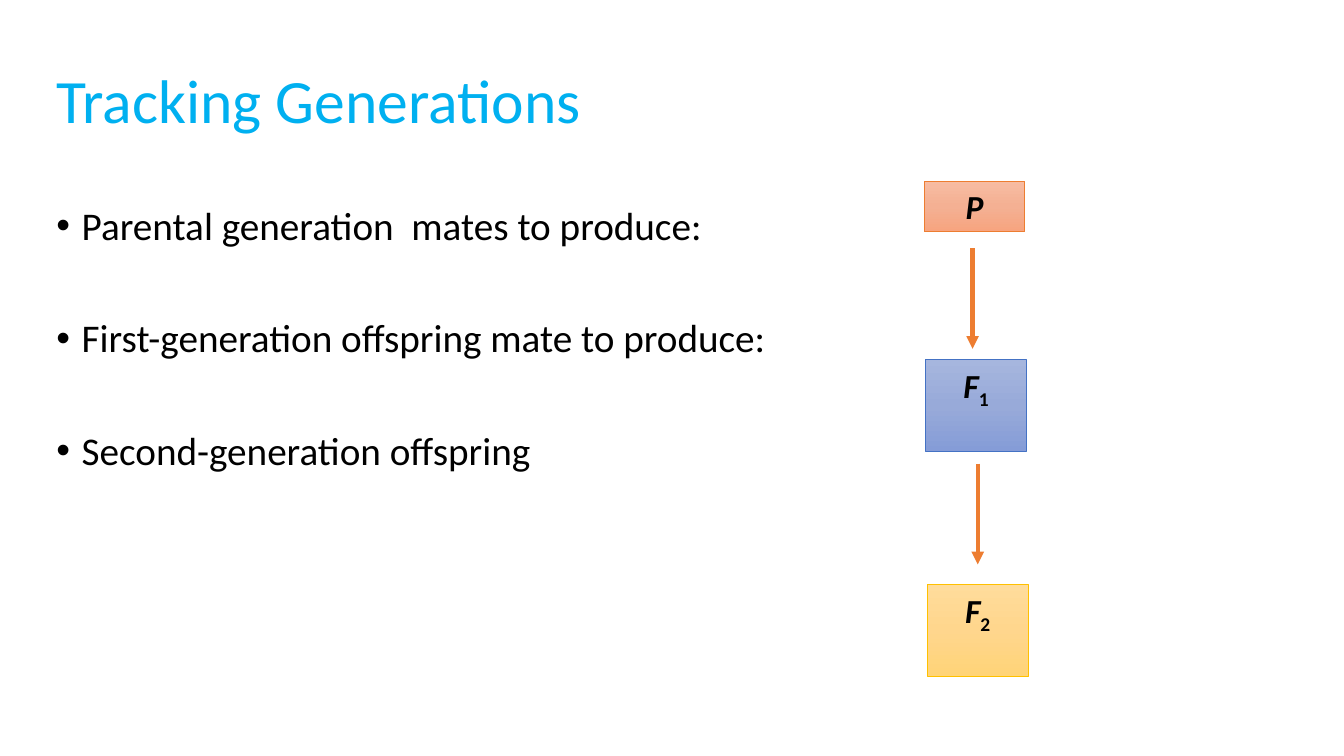
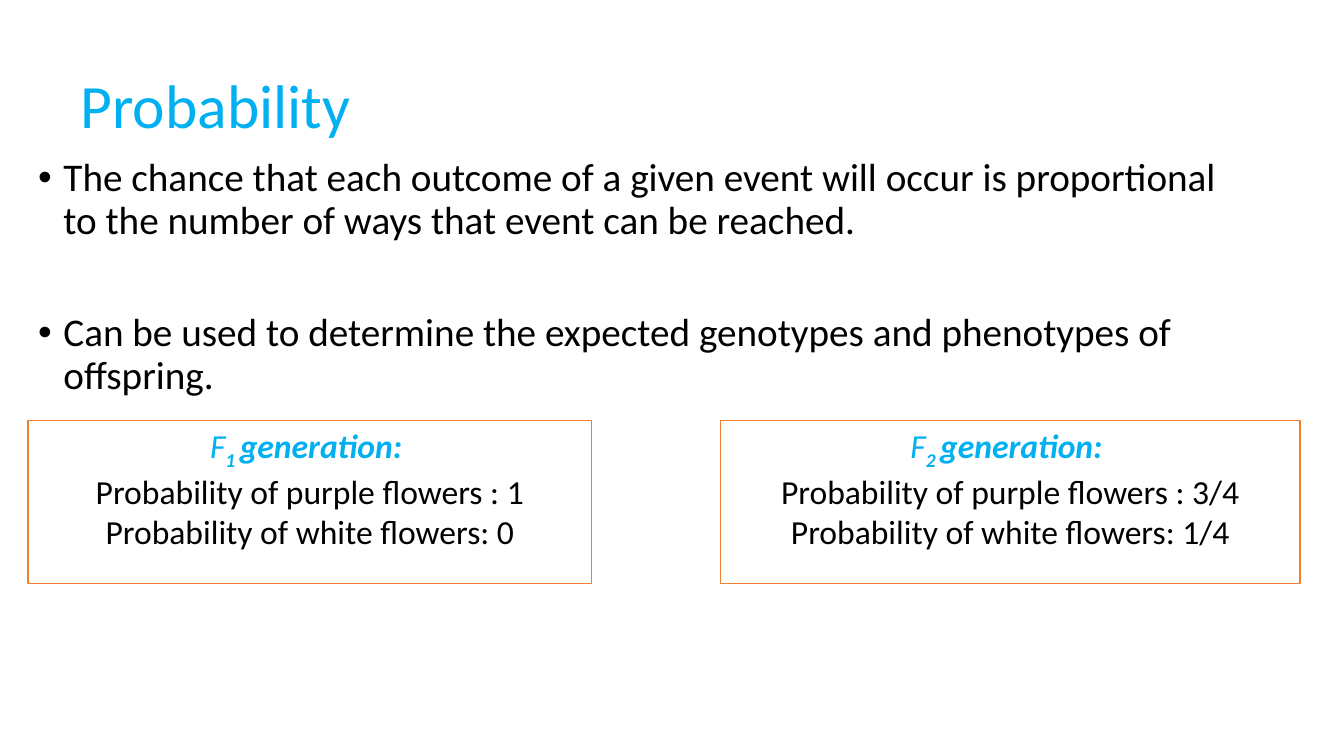
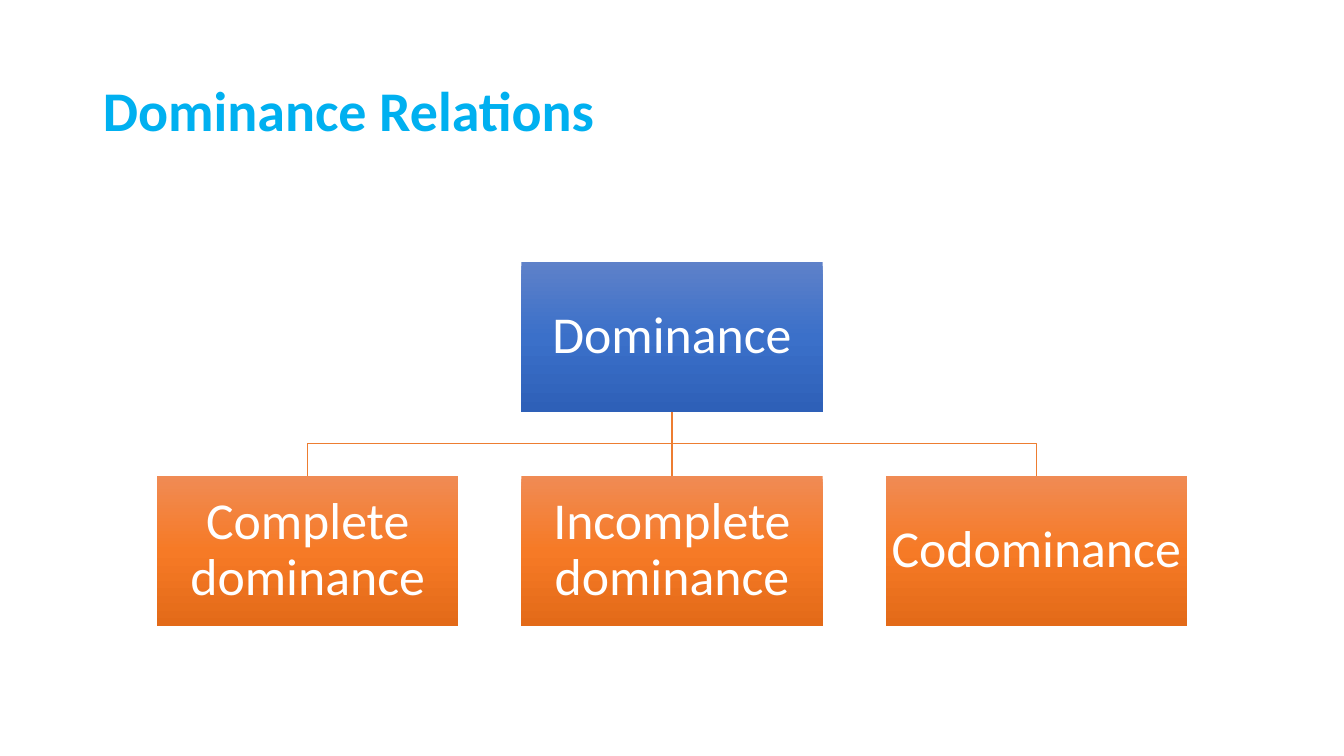
from copy import deepcopy

from pptx import Presentation
from pptx.dml.color import RGBColor
from pptx.enum.shapes import MSO_CONNECTOR as CONN, MSO_SHAPE as SHAPE
from pptx.enum.text import MSO_ANCHOR as ANCHOR, MSO_AUTO_SIZE as AUTO, PP_ALIGN as ALIGN
from pptx.oxml.ns import qn
from pptx.oxml.xmlchemy import OxmlElement
from pptx.util import Cm, Pt

# Colours
WHITE = RGBColor(0xFF, 0xFF, 0xFF)
BLACK = RGBColor(0x00, 0x00, 0x00)
SKY = RGBColor(0x00, 0xB0, 0xF0)
ORANGE = RGBColor(0xED, 0x7D, 0x31)
BLUE = RGBColor(0x44, 0x72, 0xC4)
GOLD = RGBColor(0xFF, 0xC0, 0x00)

# Gradients, top to bottom
PALE_ORANGE = [RGBColor(0xF7, 0xBC, 0xA2), RGBColor(0xF4, 0xB0, 0x93), RGBColor(0xF7, 0xA4, 0x7F)]
PALE_BLUE = [RGBColor(0xA6, 0xB6, 0xDE), RGBColor(0x98, 0xAA, 0xD9), RGBColor(0x85, 0x9C, 0xD7)]
PALE_GOLD = [RGBColor(0xFF, 0xDC, 0x9B), RGBColor(0xFF, 0xD6, 0x8D), RGBColor(0xFF, 0xD4, 0x78)]
DEEP_BLUE = [RGBColor(0x5E, 0x81, 0xC9), RGBColor(0x3B, 0x70, 0xC9), RGBColor(0x2E, 0x60, 0xB8)]
DEEP_ORANGE = [RGBColor(0xF0, 0x8B, 0x54), RGBColor(0xF6, 0x7A, 0x26), RGBColor(0xE3, 0x6A, 0x18)]

# Text formats
FONT = "Calibri"
TITLE = {"size": Pt(44), "color": SKY, "bold": False}
BODY = {"size": Pt(28), "color": BLACK}
LABEL = {"size": Pt(24), "color": BLACK, "bold": True, "italic": True}
INDEX = {**LABEL, "italic": False, "baseline": -25000}
FACT = {"size": Pt(24), "color": BLACK}
HEAD = {"size": Pt(24), "color": SKY, "italic": True}
NODE = {"size": Pt(37), "color": WHITE}


def add_run(p, text, fmt):
    r = p.add_run()
    r.text = text
    r.font.name = FONT
    for name, value in fmt.items():
        if name == "color":
            r.font.color.rgb = value
        elif name == "baseline":
            r._r.get_or_add_rPr().set("baseline", str(value))
        else:
            setattr(r.font, name, value)


def write(tf, paragraphs, **fmt):
    """Fill a frame; each paragraph is a list of (text, format) runs."""
    tf.word_wrap = True
    for i, runs in enumerate(paragraphs):
        p = tf.paragraphs[0] if i == 0 else tf.add_paragraph()
        for name, value in fmt.items():
            setattr(p, name, value)
        for text, run_fmt in runs:
            add_run(p, text, run_fmt)


def set_gradient(sp, colors):
    sp.fill.gradient()
    sp.fill.gradient_angle = 270
    stops = sp._element.spPr.find(".//" + qn("a:gsLst"))
    stops.append(deepcopy(stops[-1]))
    for i, (stop, color) in enumerate(zip(sp.fill.gradient_stops, colors)):
        stop.position = i / 2
        stop.color.rgb = color


def add_box(s, x, y, w, h, fill, line=None, line_width=1):
    sp = s.shapes.add_shape(SHAPE.RECTANGLE, Cm(x), Cm(y), Cm(w), Cm(h))
    sp.shadow.inherit = False
    if isinstance(fill, list):
        set_gradient(sp, fill)
    else:
        sp.fill.solid()
        sp.fill.fore_color.rgb = fill
    if line is None:
        sp.line.fill.background()
    else:
        sp.line.color.rgb = line
        sp.line.width = Pt(line_width)
    sp.text_frame.vertical_anchor = ANCHOR.TOP
    return sp


def add_line(s, x1, y1, x2, y2, width=1, arrow=False):
    cn = s.shapes.add_connector(CONN.STRAIGHT, Cm(x1), Cm(y1), Cm(x2), Cm(y2))
    cn.line.color.rgb = ORANGE
    cn.line.width = Pt(width)
    if arrow:
        tail = OxmlElement("a:tailEnd")
        tail.set("type", "triangle")
        cn.line._get_or_add_ln().append(tail)
    cn._element.spPr.append(OxmlElement("a:effectLst"))


def add_titled_slide(prs, text, x, y, **fmt):
    s = prs.slides.add_slide(prs.slide_layouts[5])
    sp = s.shapes.title
    sp.left, sp.top, sp.width, sp.height = Cm(x), Cm(y), Cm(29.21), Cm(3.68)
    tf = sp.text_frame
    tf.auto_size = AUTO.NONE
    tf.vertical_anchor = ANCHOR.MIDDLE
    write(tf, [[(text, {**TITLE, **fmt})]], alignment=ALIGN.LEFT, line_spacing=0.9)
    return s


def add_bullets(s, x, y, w, h, items):
    tf = s.shapes.add_textbox(Cm(x), Cm(y), Cm(w), Cm(h)).text_frame
    write(tf, [[(item, BODY)] for item in items], line_spacing=0.9)
    for i, p in enumerate(tf.paragraphs):
        pPr = p._p.get_or_add_pPr()
        pPr.set("marL", str(Cm(0.64)))
        pPr.set("indent", str(-Cm(0.64)))
        for tag, name, value in (("a:buFont", "typeface", "Arial"), ("a:buChar", "char", "•")):
            bullet = OxmlElement(tag)
            bullet.set(name, value)
            pPr.append(bullet)
        if i:
            p.space_before = Pt(50)


def add_generation_flow(s, x, y):
    """Column of generation boxes joined by arrows."""
    # letter, index, left, top, height, fill, line
    generations = [
        ("P", "", 0, 0, 1.27, PALE_ORANGE, ORANGE),
        ("F", "1", 0.04, 4.5, 2.31, PALE_BLUE, BLUE),
        ("F", "2", 0.08, 10.16, 2.31, PALE_GOLD, GOLD),
    ]
    for letter, index, dx, dy, h, fill, line in generations:
        sp = add_box(s, x + dx, y + dy, 2.54, h, fill, line, 0.75)
        runs = [(letter, LABEL)] + ([(index, INDEX)] if index else [])
        write(sp.text_frame, [runs], alignment=ALIGN.CENTER)
    for dx, dy in ((1.22, 1.68), (1.35, 7.11)):
        add_line(s, x + dx, y + dy, x + dx, y + dy + 2.54, 3, arrow=True)


def add_probability_box(s, x, y, w, h, index, purple, white):
    sp = add_box(s, x, y, w, h, WHITE, ORANGE)
    bold = {**HEAD, "bold": True}
    write(sp.text_frame, [
        [("F", HEAD), (index + " ", {**bold, "baseline": -25000}), ("generation: ", bold)],
        [(f"Probability of purple flowers : {purple}", FACT)],
        [(f"Probability of white flowers: {white}", FACT)],
    ], alignment=ALIGN.CENTER)


def add_node(s, x, y, w, h, text, fill):
    tf = add_box(s, x, y, w, h, fill).text_frame
    for side in ("left", "right", "top", "bottom"):
        setattr(tf, f"margin_{side}", Cm(0.08))
    tf.vertical_anchor = ANCHOR.MIDDLE
    write(tf, [[(text, NODE)]], alignment=ALIGN.CENTER, line_spacing=0.9)


def add_elbow(s, x1, y1, x2, y2):
    mid = (y1 + y2) / 2
    fb = s.shapes.build_freeform(Cm(x1), Cm(y1))
    fb.add_line_segments([(Cm(x1), Cm(mid)), (Cm(x2), Cm(mid)), (Cm(x2), Cm(y2))], close=False)
    sp = fb.convert_to_shape()
    sp.shadow.inherit = False
    sp.fill.background()
    sp.line.color.rgb = ORANGE
    sp.line.width = Pt(1)


def add_tree(s, x, y, w, h, root, children):
    """Root above a row of children, all nodes of one size."""
    node_w, node_h = 7.59, 3.78
    step = (w - node_w) / (len(children) - 1)
    root_x, child_y = x + (w - node_w) / 2, y + h - node_h
    root_mid = x + w / 2
    for i, child in enumerate(children):
        child_x = x + i * step
        child_mid = child_x + node_w / 2
        join = add_line if abs(child_mid - root_mid) < 0.01 else add_elbow
        join(s, root_mid, y + node_h, child_mid, child_y)
        add_node(s, child_x, child_y, node_w, node_h, child, DEEP_ORANGE)
    add_node(s, root_x, y, node_w, node_h, root, DEEP_BLUE)


def main():
    prs = Presentation()
    prs.slide_width, prs.slide_height = Cm(33.87), Cm(19.05)

    # Generations
    s = add_titled_slide(prs, "Tracking Generations", 1.17, 0.76)
    add_bullets(s, 1.17, 5.08, 30.45, 12.09, [
        "Parental generation  mates to produce:",
        "First-generation offspring mate to produce:",
        "Second-generation offspring",
    ])
    add_generation_flow(s, 23.29, 4.57)

    # Probability
    s = add_titled_slide(prs, "Probability", 1.78, 0.89)
    add_bullets(s, 0.71, 3.86, 30.28, 12.09, [
        "The chance that each outcome of a given event will occur is proportional "
        "to the number of ways that event can be reached.",
        "Can be used to determine the expected genotypes and phenotypes of offspring.",
    ])
    add_probability_box(s, 0.71, 10.59, 14.2, 4.11, "1", "1", "0")
    add_probability_box(s, 18.16, 10.59, 14.6, 4.11, "2", "3/4", "1/4")

    # Dominance
    s = add_titled_slide(prs, "Dominance Relations", 2.34, 1.02, size=Pt(40), bold=True)
    add_tree(s, 3.96, 6.6, 25.95, 9.17, "Dominance",
             ["Complete dominance", "Incomplete dominance", "Codominance"])

    prs.save("out.pptx")


if __name__ == "__main__":
    main()
